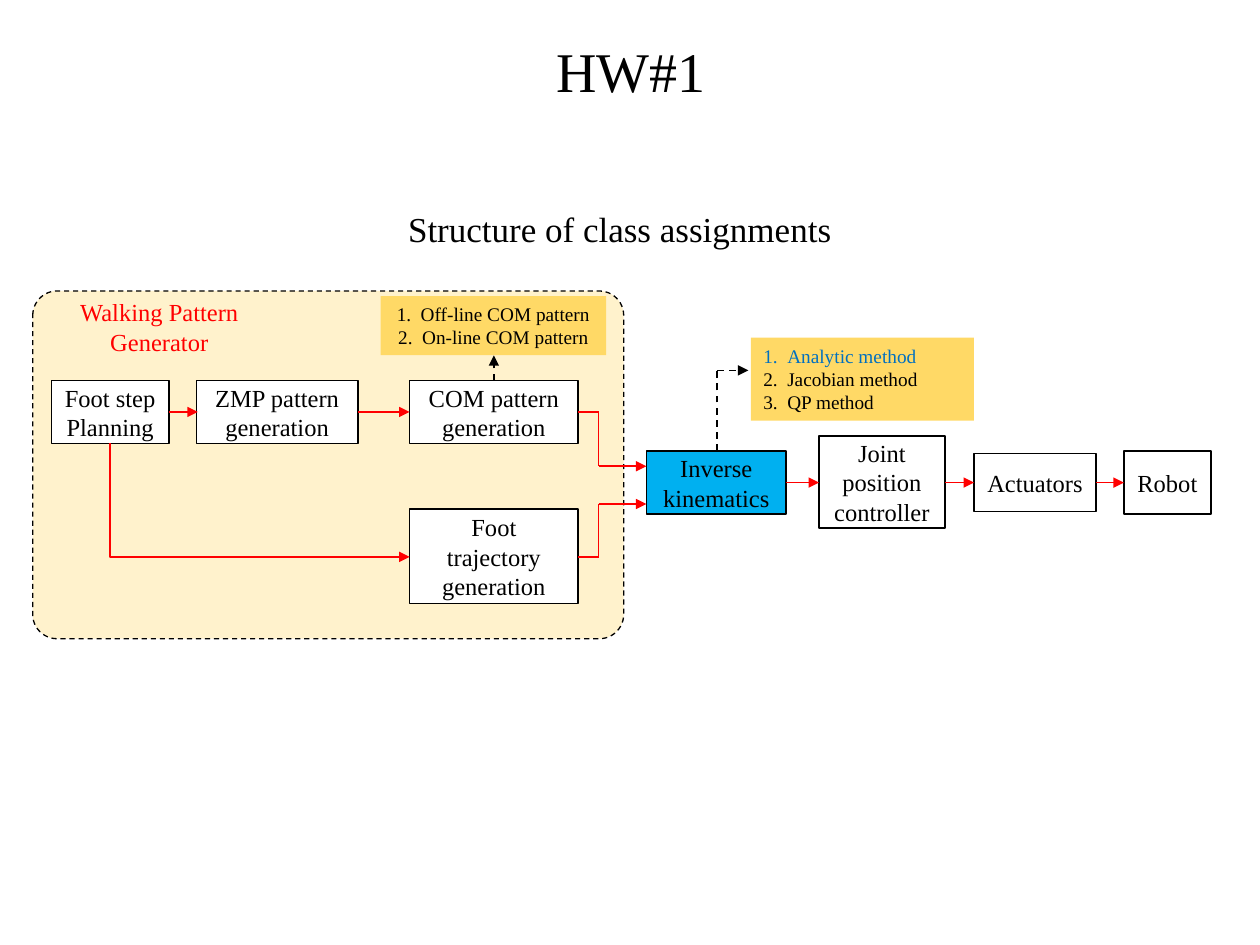
"""Build the HW#1 slide with the walking control block diagram."""
from pptx import Presentation
from pptx import util as u
from pptx.dml.color import RGBColor
from pptx.enum import dml, shapes, text
from pptx.oxml.ns import qn
from lxml import etree

BLACK = RGBColor(0, 0, 0)
WHITE = RGBColor(0xFF, 0xFF, 0xFF)
RED = RGBColor(0xFF, 0, 0)
CREAM = RGBColor(0xFF, 0xF2, 0xCC)
GOLD = RGBColor(0xFF, 0xD9, 0x66)
SKY = RGBColor(0, 0xB0, 0xF0)
BLUE = RGBColor(0, 0x70, 0xC0)
CENTER, LEFT = text.PP_ALIGN.CENTER, text.PP_ALIGN.LEFT
TOP, MIDDLE = text.MSO_ANCHOR.TOP, text.MSO_ANCHOR.MIDDLE


class Diagram:
    font = "Times New Roman"

    def __init__(self, s):
        self.s = s

    def set_text(self, sp, words, size, color=BLACK, align=CENTER, anchor=TOP):
        tf = sp.text_frame
        tf.text = words
        tf.word_wrap = True
        tf.vertical_anchor = anchor
        for p in tf.paragraphs:
            p.alignment = align
            for r in p.runs:
                r.font.name = self.font
                r.font.size = u.Pt(size)
                r.font.color.rgb = color
        return tf

    def title(self, words, *box):
        sp = self.s.shapes.title
        sp.left, sp.top, sp.width, sp.height = map(u.Inches, box)
        self.set_text(sp, words, 32)

    def label(self, words, size, color, align, *box):
        sp = self.s.shapes.add_textbox(*map(u.Inches, box))
        return self.set_text(sp, words, size, color, align)

    def panel(self, fill, *box, kind=shapes.MSO_SHAPE.RECTANGLE):
        sp = self.s.shapes.add_shape(kind, *map(u.Inches, box))
        sp.shadow.inherit = False
        sp.fill.solid()
        sp.fill.fore_color.rgb = fill
        sp.line.fill.background()
        return sp

    def group_area(self, *box):
        sp = self.panel(CREAM, *box, kind=shapes.MSO_SHAPE.ROUNDED_RECTANGLE)
        sp.adjustments[0] = 0.07
        self.stroke(sp.line, BLACK, 0.75, True)

    def block(self, words, *box, fill=WHITE):
        sp = self.panel(fill, *box)
        self.stroke(sp.line, BLACK)
        self.set_text(sp, words, 14, anchor=MIDDLE)

    def note(self, items, align, *box):
        tf = self.set_text(self.panel(GOLD, *box), "\n".join(items), 11, align=align)
        for p in tf.paragraphs:
            pPr = p._p.get_or_add_pPr()
            pPr.set("marL", str(u.Inches(0.19)))
            pPr.set("indent", str(u.Inches(-0.19)))
            etree.SubElement(pPr, qn("a:buAutoNum"), type="arabicPeriod")
        return tf

    def stroke(self, line, color, width=1, dashed=False):
        line.color.rgb = color
        line.width = u.Pt(width)
        if dashed:
            line.dash_style = dml.MSO_LINE.DASH

    def connect(self, x1, y1, x2, y2, color=RED, dashed=False, arrow=True,
                kind=shapes.MSO_CONNECTOR.STRAIGHT):
        c = self.s.shapes.add_connector(kind, *map(u.Inches, (x1, y1, x2, y2)))
        self.stroke(c.line, color, dashed=dashed)
        if arrow:
            etree.SubElement(c.line._get_or_add_ln(), qn("a:tailEnd"), type="triangle")
        etree.SubElement(c._element.spPr, qn("a:effectLst"))
        return c

    def route(self, *points, **style):
        last = len(points) - 2
        for i, (a, b) in enumerate(zip(points, points[1:])):
            self.connect(*a, *b, arrow=i == last, **style)

    def corner(self, x1, y1, x2, y2):
        """Run down from the first point, then right to the second."""
        cx, cy = (x1 + x2) / 2, (y1 + y2) / 2
        w, h = y2 - y1, x2 - x1
        c = self.connect(cx + w / 2, cy - h / 2, cx - w / 2, cy + h / 2,
                         kind=shapes.MSO_CONNECTOR.ELBOW)
        c._element.spPr.find(qn("a:xfrm")).set("rot", "16200000")
        c._element.spPr.find(qn("a:prstGeom")).set("prst", "bentConnector2")


def main():
    prs = Presentation()
    prs.slide_width, prs.slide_height = u.Inches(10), u.Inches(7.5)
    d = Diagram(prs.slides.add_slide(prs.slide_layouts[5]))
    d.title("HW#1", 0.01, 0.24, 10, 0.64)
    d.group_area(0.26, 2.31, 4.69, 2.76)

    upper, lower, main_row = 3.27, 4.42, 3.83
    d.block("Foot step\nPlanning", 0.41, 3.02, 0.93, 0.5)
    d.block("ZMP pattern generation", 1.56, 3.02, 1.28, 0.5)
    d.block("COM pattern generation", 3.25, 3.02, 1.34, 0.5)
    d.block("Foot trajectory generation", 3.25, 4.04, 1.34, 0.75)
    d.block("Inverse kinematics", 5.13, 3.58, 1.11, 0.5, fill=SKY)
    d.block("Joint position controller", 6.5, 3.46, 1, 0.73)
    d.block("Actuators", 7.73, 3.6, 0.97, 0.46)
    d.block("Robot", 8.92, 3.58, 0.69, 0.5)

    for x1, x2, y in ((1.34, 1.57, upper), (2.84, 3.25, upper),
                      (6.24, 6.5, main_row), (7.5, 7.73, main_row),
                      (8.7, 8.92, main_row)):
        d.connect(x1, y, x2, y)
    d.corner(0.87, 3.52, 3.25, lower)
    for start, end in ((upper, 3.7), (lower, 4)):
        d.route((4.59, start), (4.75, start), (4.75, end), (5.13, end))

    methods = d.note(["Analytic method", "Jacobian method", "QP method"],
                     LEFT, 5.96, 2.68, 1.77, 0.66)
    methods.paragraphs[0].runs[0].font.color.rgb = BLUE
    d.note(["Off-line COM pattern", "On-line COM pattern"],
           CENTER, 3.02, 2.35, 1.79, 0.47)
    d.route((5.69, 3.58), (5.69, 2.94), (5.94, 2.94), color=BLACK, dashed=True)
    d.route((3.92, 3.02), (3.92, 2.82), color=BLACK, dashed=True)

    d.label("Walking Pattern\nGenerator", 14, RED, CENTER, 0.53, 2.31, 1.47, 0.57)
    heading = d.label("Structure of class assignments", 20, BLACK, LEFT,
                      3.14, 1.6, 3.58, 0.44)
    heading.word_wrap = False
    prs.save("out.pptx")


if __name__ == "__main__":
    main()
